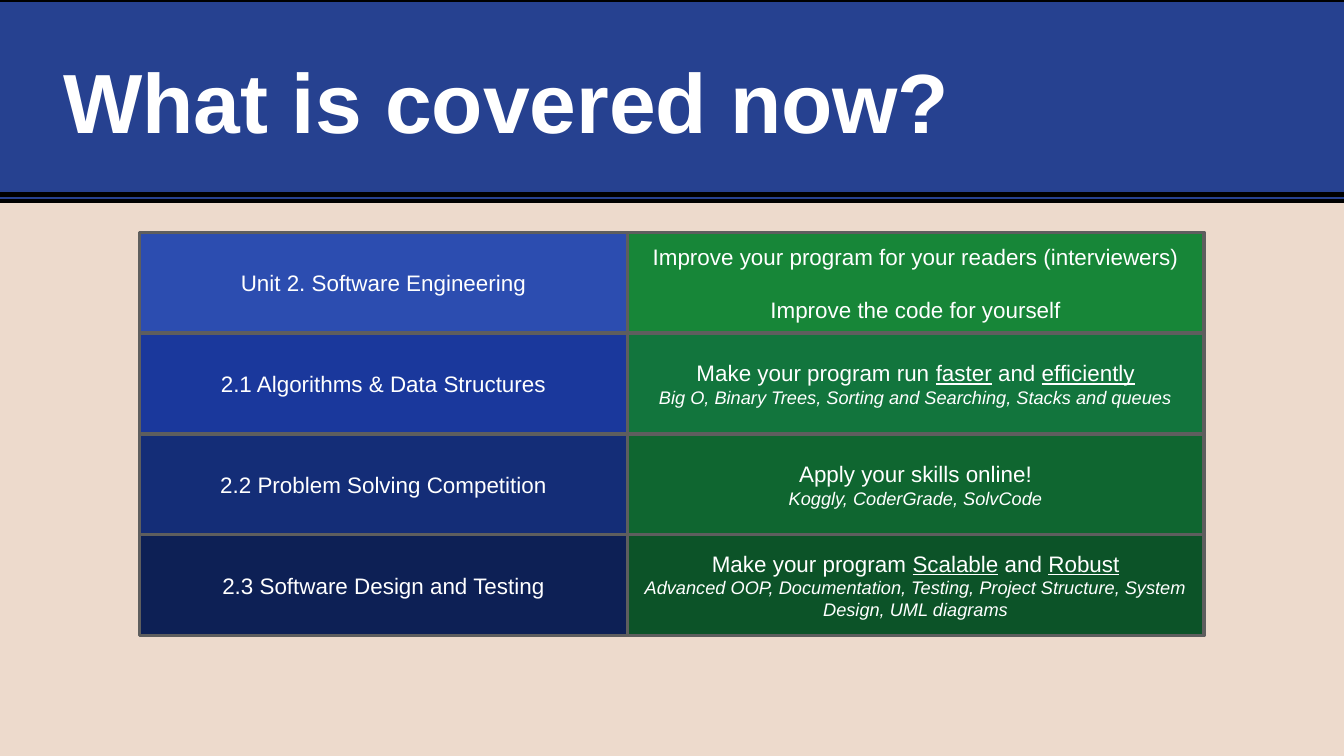
from lxml import etree
from pptx import Presentation
from pptx.dml.color import RGBColor
from pptx.enum import shapes, text
from pptx.oxml.ns import qn
from pptx.util import Inches, Pt

WIDTH, HEIGHT = 26.67, 15
FONT = "Arial"
WHITE, BLACK, GREY = "FFFFFF", "000000", "5E5E5E"
BANNER_BLUE, BACKGROUND = "264190", "EDDACC"

# Each line of a meaning cell is (style, runs); "_" starts an underlined run.
ROWS = [
    ("Unit 2. Software Engineering", "2C4DB0", "178638",
     [("main", ["Improve your program for your readers (interviewers)"]),
      ("spaced", ["Improve the code for yourself"])]),
    ("2.1 Algorithms & Data Structures", "1A389C", "12753D",
     [("main", ["Make your program run ", "_faster", " and ", "_efficiently"]),
      ("topics", ["Big O, Binary Trees, Sorting and Searching, Stacks and queues"])]),
    ("2.2 Problem Solving Competition", "142D77", "0F6630",
     [("main", ["Apply your skills online!"]),
      ("topics", ["Koggly, CoderGrade, SolvCode"])]),
    ("2.3 Software Design and Testing", "0D2055", "0C5328",
     [("main", ["Make your program ", "_Scalable", " and ", "_Robust"]),
      ("topics", ["Advanced OOP, Documentation, Testing, Project Structure, "
                  "System Design, UML diagrams"])]),
]


def color(value):
    return RGBColor.from_string(value)


def add_span(para, words, size, bold=False, italic=False, underline=False):
    span = para.add_run()
    span.text = words
    font = span.font
    font.name, font.size = FONT, Pt(size)
    font.bold, font.italic, font.underline = bold, italic, underline
    font.color.rgb = color(WHITE)


def prepare_frame(frame, inset):
    frame.word_wrap = True
    frame.vertical_anchor = text.MSO_ANCHOR.MIDDLE
    frame.margin_left = frame.margin_right = Inches(inset)
    frame.margin_top = frame.margin_bottom = Inches(inset)


def add_panel(page, left, top, width, height, fill, line, line_width):
    panel = page.shapes.add_shape(
        shapes.MSO_SHAPE.RECTANGLE,
        Inches(left), Inches(top), Inches(width), Inches(height))
    panel.shadow.inherit = False
    panel.fill.solid()
    panel.fill.fore_color.rgb = color(fill)
    panel.line.color.rgb = color(line)
    panel.line.width = Pt(line_width)
    return panel


def add_banner(page, left, top, width, height, title):
    """Title band that bleeds off both sides, with a second rule near its foot."""
    add_panel(page, left - 0.21, top, width + 0.57, height, BANNER_BLUE, BLACK, 6)
    rule_y = Inches(top + height - 0.13)
    rule = page.shapes.add_connector(
        shapes.MSO_CONNECTOR.STRAIGHT,
        Inches(left - 0.41), rule_y, Inches(left + width + 0.22), rule_y)
    rule.line.color.rgb = color(BLACK)
    rule.line.width = Pt(6)
    etree.SubElement(rule._element.spPr, qn("a:effectLst"))

    box = page.shapes.add_textbox(
        Inches(left + 0.99), Inches(top + 0.64), Inches(24.85), Inches(2.7))
    prepare_frame(box.text_frame, 0.27)
    add_span(box.text_frame.paragraphs[0], title, 120, bold=True)


def add_cell(page, left, top, width, height, fill, lines):
    cell = add_panel(page, left, top, width, height, fill, GREY, 5)
    frame = cell.text_frame
    prepare_frame(frame, 0.06)
    for index, (style, spans) in enumerate(lines):
        para = frame.add_paragraph() if index else frame.paragraphs[0]
        para.alignment = text.PP_ALIGN.CENTER
        if style == "spaced":
            para.space_before = Pt(37)
        topics = style == "topics"
        for words in spans:
            add_span(para, words.lstrip("_"), 26 if topics else 32,
                     italic=topics, underline=words.startswith("_"))


def add_unit_grid(page, left, top, width, height):
    """Unit names on the left and what each one means on the right."""
    name_width = 9.68
    pitch = height / len(ROWS)
    for index, (name, blue, green, meaning) in enumerate(ROWS):
        y = top + index * pitch
        add_cell(page, left, y, name_width, pitch, blue, [("main", [name])])
        add_cell(page, left + name_width, y, width - name_width, pitch,
                 green, meaning)


def main():
    deck = Presentation()
    deck.slide_width, deck.slide_height = Inches(WIDTH), Inches(HEIGHT)
    page = deck.slides.add_slide(deck.slide_layouts[6])
    page.background.fill.solid()
    page.background.fill.fore_color.rgb = color(BACKGROUND)
    add_banner(page, 0, 0, WIDTH, 3.99, "What is covered now?")
    add_unit_grid(page, 2.77, 4.61, 21.12, 8)
    deck.save("out.pptx")


if __name__ == "__main__":
    main()
